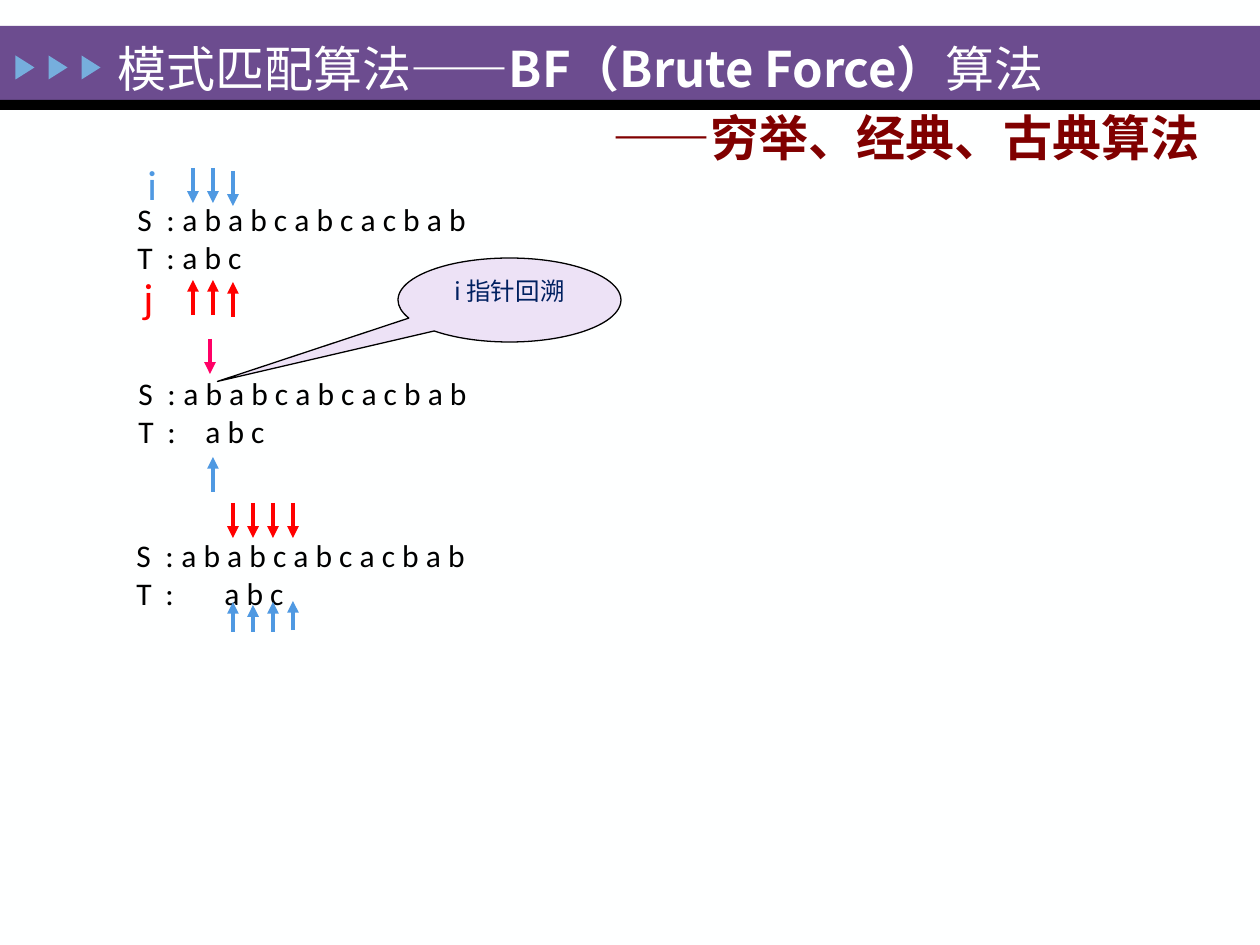
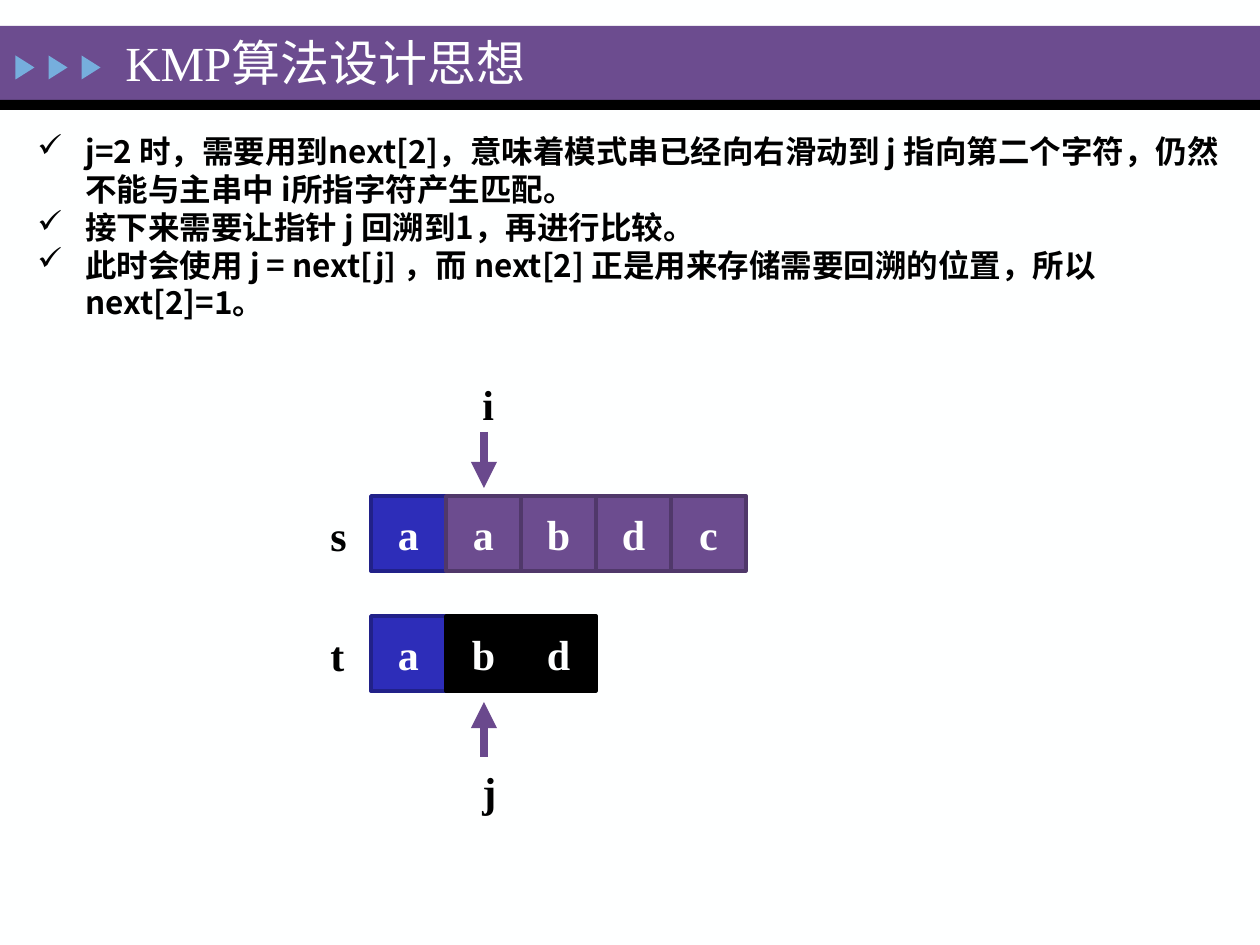
from dataclasses import dataclass
from typing import NamedTuple, Optional, Sequence, Union

from pptx import Presentation
from pptx.dml.color import RGBColor
from pptx.enum.shapes import MSO_CONNECTOR, MSO_SHAPE
from pptx.enum.text import MSO_ANCHOR, PP_ALIGN
from pptx.oxml.ns import qn
from pptx.oxml.xmlchemy import OxmlElement
from pptx.shapes.autoshape import Shape
from pptx.slide import Slide
from pptx.util import Emu, Pt

PX_PER_INCH = 126
SLIDE_W, SLIDE_H = 1260, 945

PURPLE, PURPLE_EDGE, ARROW_PURPLE = "6C4C8F", "50386A", "6A498D"
NAVY, NAVY_EDGE = "2D2DB9", "212189"
SKY, BLUE, RED, PINK = "76AEDD", "4F99E2", "FF0000", "FF0066"
BLACK, PAPER = "000000", "FEFFFF"

SERIF, SANS = "Times New Roman", "Calibri"
CJK, CJK_KR = "Noto Sans CJK SC", "Noto Sans CJK KR"


class Box(NamedTuple):
    left: int
    top: int
    width: int
    height: int


class Span(NamedTuple):
    text: str
    font: Optional[str] = None
    bold: Optional[bool] = None


@dataclass(frozen=True)
class PointerRow:
    """Equal vertical arrows standing at the given character columns."""
    color: str
    tail_y: int
    head_y: int
    columns: Sequence[int]
    shift: int = 0


@dataclass(frozen=True)
class Match:
    """Main string S over pattern T, with T starting at a tab position."""
    box: Box
    pattern_tab: int


@dataclass(frozen=True)
class CellRow:
    label: str
    letters: str
    top: int
    fill: str
    edge: str


def px(length: int) -> Emu:
    return Emu(round(length * 914400 / PX_PER_INCH))


def rgb(color: str) -> RGBColor:
    return RGBColor.from_string(color)


def write(shape: Shape, paragraphs: Sequence[Union[str, Sequence[Span]]], *,
          size: int, color: str, font: str, bold: bool = False,
          align: PP_ALIGN = PP_ALIGN.LEFT, anchor: MSO_ANCHOR = MSO_ANCHOR.TOP,
          bullet: str = "", hang: int = 0,
          tabs: Sequence[Sequence[int]] = ()) -> None:
    """Fill a shape with paragraphs; tabs holds the tab stops of each one."""
    frame = shape.text_frame
    frame.word_wrap = True
    frame.vertical_anchor = anchor
    for index, content in enumerate(paragraphs):
        paragraph = frame.paragraphs[0] if index == 0 else frame.add_paragraph()
        paragraph.alignment = align
        properties = paragraph._p.get_or_add_pPr()
        if bullet:
            properties.set("marL", str(px(hang)))
            properties.set("indent", str(-px(hang)))
            mark = OxmlElement("a:buChar")
            mark.set("char", bullet)
            properties.append(mark)
        if tabs:
            stops = OxmlElement("a:tabLst")
            for position in tabs[index]:
                stop = OxmlElement("a:tab")
                stop.set("pos", str(px(position)))
                stop.set("algn", "l")
                stops.append(stop)
            properties.append(stops)
        spans = [Span(content)] if isinstance(content, str) else content
        for span in spans:
            run = paragraph.add_run()
            run.text = span.text
            run.font.size = Pt(size)
            run.font.color.rgb = rgb(color)
            run.font.bold = bold if span.bold is None else span.bold
            latin = span.font or font
            run.font.name = latin
            east_asian = OxmlElement("a:ea")
            east_asian.set("typeface", CJK if latin in (SERIF, SANS) else latin)
            run.font._element.append(east_asian)


def add_text(slide: Slide, box: Box,
             paragraphs: Sequence[Union[str, Sequence[Span]]], **style) -> None:
    write(slide.shapes.add_textbox(*map(px, box)), paragraphs, **style)


def add_block(slide: Slide, kind: MSO_SHAPE, box: Box, fill: str,
              edge: Optional[str] = None, edge_width: float = 2) -> Shape:
    block = slide.shapes.add_shape(kind, *map(px, box))
    block.shadow.inherit = False
    block.fill.solid()
    block.fill.fore_color.rgb = rgb(fill)
    if edge:
        block.line.color.rgb = rgb(edge)
        block.line.width = Pt(edge_width)
    else:
        block.line.fill.background()
    return block


def add_pointer(slide: Slide, x: int, tail_y: int, head_y: int, color: str,
                width: float = 2.25) -> None:
    pointer = slide.shapes.add_connector(
        MSO_CONNECTOR.STRAIGHT, px(x), px(tail_y), px(x), px(head_y))
    pointer.line.color.rgb = rgb(color)
    pointer.line.width = Pt(width)
    properties = pointer.element.spPr
    head = OxmlElement("a:tailEnd")
    head.set("type", "triangle")
    properties.find(qn("a:ln")).append(head)
    properties.append(OxmlElement("a:effectLst"))


def add_titled_slide(prs: Presentation, title: Sequence[Span], box: Box) -> Slide:
    slide = prs.slides.add_slide(prs.slide_layouts[6])
    slide.background.fill.solid()
    slide.background.fill.fore_color.rgb = rgb(PAPER)
    add_block(slide, MSO_SHAPE.RECTANGLE, Box(0, 26, SLIDE_W, 75), PURPLE)
    add_block(slide, MSO_SHAPE.RECTANGLE, Box(0, 100, SLIDE_W, 10), BLACK)
    for step in range(3):
        chevron = add_block(slide, MSO_SHAPE.ISOSCELES_TRIANGLE,
                            Box(13 + 33 * step, 58, 24, 19), SKY)
        chevron.rotation = 90
    add_text(slide, box, [title], size=28, color=PAPER, font=SERIF,
             anchor=MSO_ANCHOR.MIDDLE)
    return slide


def build_brute_force(prs: Presentation) -> None:
    slide = add_titled_slide(
        prs,
        [Span("模式匹配算法——"), Span("BF（Brute Force）", CJK_KR, True), Span("算法")],
        Box(105, 26, 1042, 84))
    add_text(slide, Box(600, 101, 630, 72), ["——穷举、经典、古典算法"],
             size=28, color="800000", font=CJK, bold=True)

    colon_tab, main_tab = 29, 45
    matches = [
        Match(Box(125, 194, 998, 89), main_tab),
        Match(Box(126, 368, 1061, 89), 67),
        Match(Box(124, 530, 725, 89), 88),
    ]
    for match in matches:
        add_text(slide, match.box,
                 ["S\t:\ta b a b c a b c a c b a b", "T\t:\ta b c"],
                 size=18, color=BLACK, font=SANS,
                 tabs=[(colon_tab, main_tab), (colon_tab, match.pattern_tab)])

    add_text(slide, Box(135, 152, 42, 63), ["i"], size=24, color=BLUE, font=SANS)
    add_text(slide, Box(131, 265, 42, 63), ["j"], size=24, color=RED, font=SANS)

    pointer_rows = [
        PointerRow(BLUE, 168, 203, (0, 1)),
        PointerRow(BLUE, 171, 206, (2,)),
        PointerRow(RED, 315, 280, (0, 1)),
        PointerRow(RED, 317, 282, (2,)),
        PointerRow(PINK, 339, 374, (1,), shift=-3),
        PointerRow(BLUE, 492, 457, (1,)),
        PointerRow(RED, 503, 538, (2, 3, 4, 5)),
        PointerRow(BLUE, 632, 602, (2, 4)),
        PointerRow(BLUE, 632, 605, (3,)),
        PointerRow(BLUE, 630, 601, (5,)),
    ]
    for row in pointer_rows:
        for column in row.columns:
            add_pointer(slide, 193 + 20 * column + row.shift,
                        row.tail_y, row.head_y, row.color)

    backtrack = add_block(slide, MSO_SHAPE.OVAL_CALLOUT, Box(398, 258, 223, 84),
                          "EDE2F6", BLACK, 0.75)
    backtrack.adjustments[0] = -1.31
    backtrack.adjustments[1] = 0.97
    write(backtrack, ["i 指针回溯"], size=14, color="002060", font=CJK,
          align=PP_ALIGN.CENTER)


def build_kmp(prs: Presentation) -> None:
    slide = add_titled_slide(prs, [Span("KMP算法设计思想")], Box(113, 26, 883, 71))
    add_text(slide, Box(25, 126, 1211, 165), [
        "j=2 时，需要用到next[2]，意味着模式串已经向右滑动到 j 指向第二个字符，"
        "仍然不能与主串中 i所指字符产生匹配。",
        "接下来需要让指针 j 回溯到1，再进行比较。",
        "此时会使用 j = next[j] ，而 next[2] 正是用来存储需要回溯的位置，所以next[2]=1。",
    ], size=18, color=BLACK, font=CJK, bold=True, bullet="✓", hang=48)

    label_style = dict(size=24, color=BLACK, font=SERIF, bold=True)
    cell = 75
    rows = [
        CellRow("s", "aabdc", 496, PURPLE, PURPLE_EDGE),
        CellRow("t", "abd", 616, BLACK, BLACK),
    ]
    for row in rows:
        add_text(slide, Box(318, row.top + 7, 42, 63), [row.label], **label_style)
        for index, letter in enumerate(row.letters):
            fill, edge = (row.fill, row.edge) if index else (NAVY, NAVY_EDGE)
            square = add_block(slide, MSO_SHAPE.RECTANGLE,
                               Box(371 + cell * index, row.top, cell, cell),
                               fill, edge)
            write(square, [letter], size=24, color=PAPER, font=SERIF, bold=True,
                  align=PP_ALIGN.CENTER, anchor=MSO_ANCHOR.MIDDLE)

    for name, label_top, tail_y, head_y in (("i", 372, 432, 488),
                                            ("j", 759, 757, 702)):
        add_text(slide, Box(470, label_top, 42, 64), [name], **label_style)
        add_pointer(slide, 484, tail_y, head_y, ARROW_PURPLE, 5)


def main() -> None:
    prs = Presentation()
    prs.slide_width, prs.slide_height = px(SLIDE_W), px(SLIDE_H)
    build_brute_force(prs)
    build_kmp(prs)
    prs.save("out.pptx")


if __name__ == "__main__":
    main()
